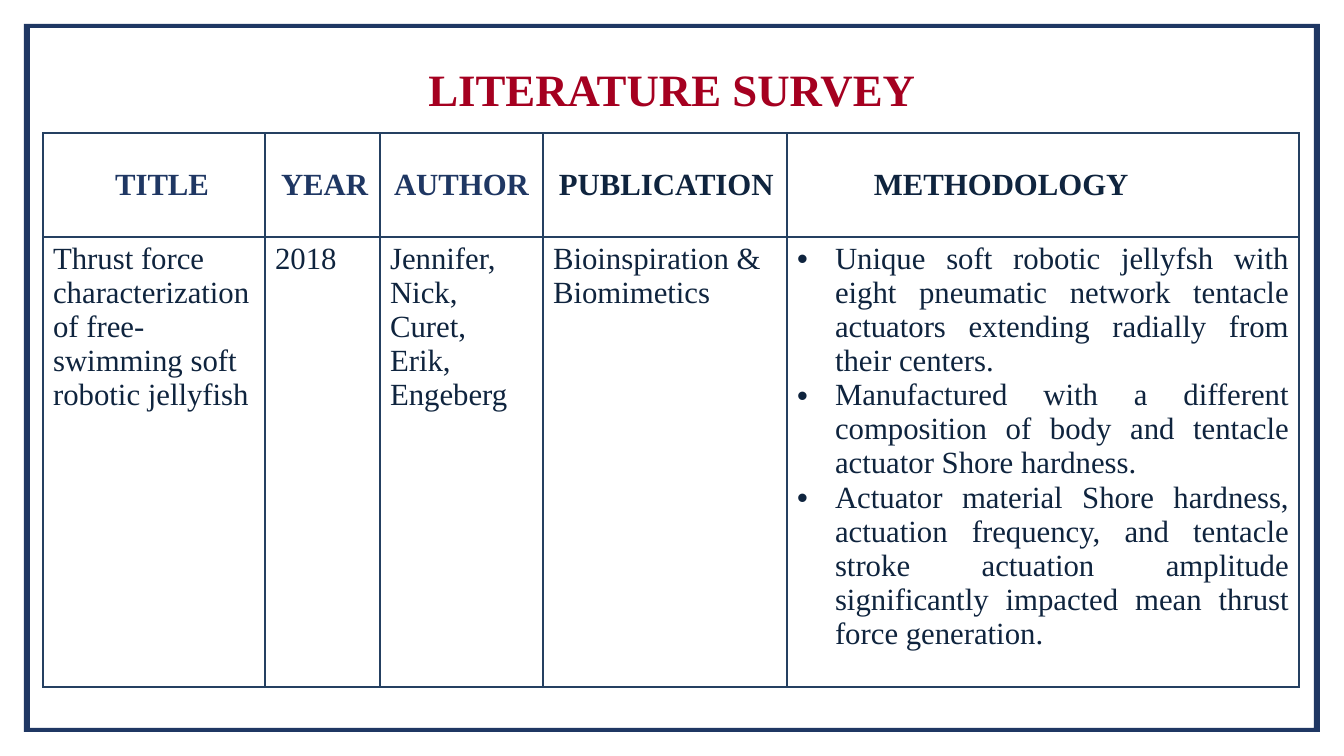
from lxml.etree import SubElement
from pptx import Presentation
from pptx.dml.color import RGBColor
from pptx.enum.text import MSO_ANCHOR, MSO_AUTO_SIZE, PP_ALIGN
from pptx.oxml import parse_xml
from pptx.oxml.ns import nsdecls, qn
from pptx.util import Emu, Pt

NAVY, INK, RED, EDGE = "1F3763", "0F243E", "A50020", "254061"
LEFT, MID, JUST = PP_ALIGN.LEFT, PP_ALIGN.CENTER, PP_ALIGN.JUSTIFY
COLS = [222, 115, 163, 244, 512]
ROWS = [104, 450]
HEADS = [
    ("TITLE", NAVY, MID, 16),
    ("YEAR", NAVY, LEFT, 16),
    ("AUTHOR", NAVY, MID, 0),
    ("PUBLICATION", INK, LEFT, 16),
    ("METHODOLOGY", INK, LEFT, 87),
]
BODY = [
    ["Thrust force characterization of free-swimming soft robotic jellyfish"],
    ["2018"],
    ["Jennifer,", "Nick, Curet,", "Erik, Engeberg"],
    ["Bioinspiration & Biomimetics"],
    [
        "Unique soft robotic jellyfsh with eight pneumatic network tentacle "
        "actuators extending radially from their centers.",
        "Manufactured with a different composition of body and tentacle "
        "actuator Shore hardness.",
        "Actuator material Shore hardness, actuation frequency, and tentacle "
        "stroke actuation amplitude significantly impacted mean thrust force "
        "generation.",
    ],
]


def px(count):
    return Emu(round(count * 914400 / 100.8))


def color(code):
    return RGBColor.from_string(code)


def style(para, size, code, bold, align):
    para.alignment = align
    for run in para.runs:
        font = run.font
        font.name = "Times New Roman"
        font.size = Pt(size)
        font.bold = bold
        font.color.rgb = color(code)


def indent(para, left, hang=0):
    props = para._p.get_or_add_pPr()
    props.set("marL", str(px(left)))
    props.set("indent", str(px(-hang)))
    return props


def bullet(para):
    props = indent(para, 38, 38)
    SubElement(props, qn("a:buFont")).set("typeface", "Arial")
    SubElement(props, qn("a:buChar")).set("char", "•")


def border(cell):
    cell.fill.background()
    props = cell._tc.get_or_add_tcPr()
    for spot, side in enumerate("LRTB"):
        props.insert(spot, parse_xml(
            f'<a:ln{side} {nsdecls("a")} w="{Pt(1.5)}"><a:solidFill>'
            f'<a:srgbClr val="{EDGE}"/></a:solidFill></a:ln{side}>'))


def add_frame(slide, x, y, wide, high):
    side, edge = 6, 4
    right, low = x + wide, y + high
    pen = slide.shapes.build_freeform(x, y, scale=px(1))
    pen.add_line_segments([(right, y), (right, low), (x, low)])
    pen.move_to(x + side, y + edge)
    pen.add_line_segments([
        (x + side, low - edge), (right - side, low - edge),
        (right - side, y + edge)])
    frame = pen.convert_to_shape()
    frame.shadow.inherit = False
    frame.fill.solid()
    frame.fill.fore_color.rgb = color(NAVY)
    frame.line.fill.background()


def add_title(slide, x, y, wide, high):
    title = slide.shapes.title
    title.left, title.top = px(x), px(y)
    title.width, title.height = px(wide), px(high)
    frame = title.text_frame
    frame.text = "LITERATURE SURVEY"
    frame.auto_size = MSO_AUTO_SIZE.NONE
    frame.vertical_anchor = MSO_ANCHOR.BOTTOM
    para = frame.paragraphs[0]
    para.line_spacing = 1.5
    style(para, 32, RED, True, MID)


def fill_head(cell, text, code, align, left):
    cell.margin_left = cell.margin_right = 0
    cell.margin_top = cell.margin_bottom = 0
    cell.vertical_anchor = MSO_ANCHOR.MIDDLE
    cell.text_frame.text = text
    para = cell.text_frame.paragraphs[0]
    indent(para, left)
    style(para, 22, code, True, align)
    border(cell)


def fill_body(cell, lines, listed):
    cell.text_frame.text = "\n".join(lines)
    for para in cell.text_frame.paragraphs:
        if listed:
            bullet(para)
        style(para, 22, INK, False, JUST if listed else LEFT)
    border(cell)


def add_survey(slide, x, y):
    table = slide.shapes.add_table(
        len(ROWS), len(COLS), px(x), px(y), px(sum(COLS)), px(sum(ROWS))).table
    table.first_row = table.horz_banding = False
    for row, high in zip(table.rows, ROWS):
        row.height = px(high)
    for col, wide in enumerate(COLS):
        table.columns[col].width = px(wide)
        fill_head(table.cell(0, col), *HEADS[col])
        fill_body(table.cell(1, col), BODY[col], len(COLS) - 1 == col)


def main():
    deck = Presentation()
    deck.slide_width, deck.slide_height = px(1344), px(756)
    slide = deck.slides.add_slide(deck.slide_layouts[5])
    add_frame(slide, 24, 24, 1296, 708)
    add_title(slide, 340, 35, 664, 86)
    add_survey(slide, 43, 133)
    deck.save("out.pptx")


if __name__ == "__main__":
    main()
